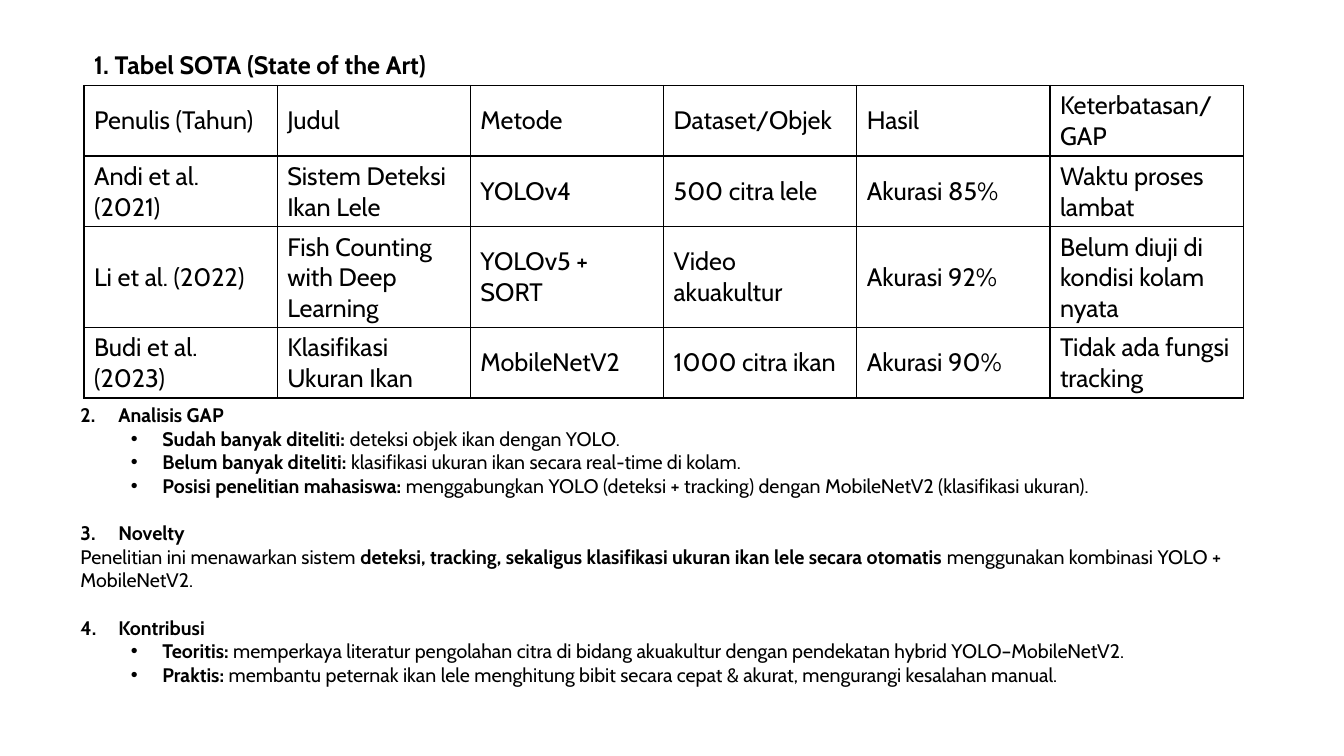
from lxml.etree import SubElement
from pptx import Presentation
from pptx.dml.color import RGBColor
from pptx.enum.text import MSO_ANCHOR
from pptx.oxml.ns import qn
from pptx.util import Pt

TITLE = "1. Tabel SOTA (State of the Art)"

STUDIES = [
    ("Penulis (Tahun)", "Judul", "Metode", "Dataset/Objek", "Hasil", "Keterbatasan/GAP"),
    ("Andi et al. (2021)", "Sistem Deteksi Ikan Lele", "YOLOv4",
     "500 citra lele", "Akurasi 85%", "Waktu proses lambat"),
    ("Li et al. (2022)", "Fish Counting with Deep Learning", "YOLOv5 + SORT",
     "Video akuakultur", "Akurasi 92%", "Belum diuji di kondisi kolam nyata"),
    ("Budi et al. (2023)", "Klasifikasi Ukuran Ikan", "MobileNetV2",
     "1000 citra ikan", "Akurasi 90%", "Tidak ada fungsi tracking"),
]

# Each section: number, heading, paragraphs of (kind, [(text, bold), ...])
SECTIONS = [
    (2, "Analisis GAP", [
        ("bullet", [("Sudah banyak diteliti: ", True),
                    ("deteksi objek ikan dengan YOLO.", False)]),
        ("bullet", [("Belum banyak diteliti: ", True),
                    ("klasifikasi ukuran ikan secara real-time di kolam.", False)]),
        ("bullet", [("Posisi penelitian mahasiswa: ", True),
                    ("menggabungkan YOLO (deteksi + tracking) dengan MobileNetV2 "
                     "(klasifikasi ukuran).", False)]),
    ]),
    (3, "Novelty", [
        ("plain", [("Penelitian ini menawarkan sistem ", False),
                   ("deteksi, tracking, sekaligus klasifikasi ukuran ikan lele "
                    "secara otomatis ", True),
                   ("menggunakan kombinasi YOLO + MobileNetV2.", False)]),
    ]),
    (4, "Kontribusi", [
        ("bullet", [("Teoritis: ", True),
                    ("memperkaya literatur pengolahan citra di bidang akuakultur dengan "
                     "pendekatan hybrid YOLO–MobileNetV2.", False)]),
        ("bullet", [("Praktis: ", True),
                    ("membantu peternak ikan lele menghitung bibit secara cepat & akurat, "
                     "mengurangi kesalahan manual.", False)]),
    ]),
]

FONT = "Cabin"
BLACK = RGBColor(0, 0, 0)
LARGE, SMALL = Pt(18), Pt(14)
TABLE_LEFT, TABLE_TOP, TABLE_WIDTH = Pt(60), Pt(61), Pt(828)
ROW_HEIGHTS = [Pt(50.4), Pt(50.4), Pt(72), Pt(50.4)]
SECTION_GAP = Pt(17)


def add_span(para, text, size, bold=False):
    span = para.add_run()
    span.text = text
    span.font.name = FONT
    span.font.size = size
    span.font.bold = bold
    span.font.color.rgb = BLACK


def add_text_box(page, left, top, width, height):
    box = page.shapes.add_textbox(left, top, width, height)
    box.text_frame.word_wrap = True
    return box.text_frame


def set_marker(para, indent, hanging, tag, **attributes):
    """Give the paragraph a hanging indent and a bullet or number."""
    properties = para._p.get_or_add_pPr()
    properties.set("marL", str(indent))
    properties.set("indent", str(-hanging))
    if tag == "a:buChar":
        SubElement(properties, qn("a:buFont"), typeface="Arial")
    SubElement(properties, qn(tag), **attributes)


def set_borders(cell):
    properties = cell._tc.get_or_add_tcPr()
    for side in ("a:lnL", "a:lnR", "a:lnT", "a:lnB"):
        line = SubElement(properties, qn(side), w=str(Pt(1)))
        fill = SubElement(line, qn("a:solidFill"))
        SubElement(fill, qn("a:srgbClr"), val=str(BLACK))


def add_study_table(page):
    frame = page.shapes.add_table(len(STUDIES), len(STUDIES[0]), TABLE_LEFT, TABLE_TOP,
                                  TABLE_WIDTH, sum(ROW_HEIGHTS))
    table = frame.table
    table.first_row = False
    table.horz_banding = False
    for row, height, texts in zip(table.rows, ROW_HEIGHTS, STUDIES):
        row.height = height
        for cell, text in zip(row.cells, texts):
            set_borders(cell)
            cell.fill.background()
            cell.vertical_anchor = MSO_ANCHOR.MIDDLE
            add_span(cell.text_frame.paragraphs[0], text, LARGE)


def add_sections(page):
    frame = add_text_box(page, Pt(50.4), Pt(284.4), Pt(859), Pt(211))
    for position, (number, heading, paragraphs) in enumerate(SECTIONS):
        para = frame.add_paragraph() if position else frame.paragraphs[0]
        set_marker(para, Pt(27), Pt(27), "a:buAutoNum",
                   type="arabicPeriod", startAt=str(number))
        if position:
            para.space_before = SECTION_GAP
        add_span(para, heading, SMALL, bold=True)
        for kind, spans in paragraphs:
            para = frame.add_paragraph()
            if kind == "bullet":
                para.level = 1
                set_marker(para, Pt(58.5), Pt(22.5), "a:buChar", char="•")
            for text, bold in spans:
                add_span(para, text, SMALL, bold)


def main():
    deck = Presentation()
    deck.slide_width, deck.slide_height = Pt(960), Pt(540)
    page = deck.slides.add_slide(deck.slide_layouts[6])
    title = add_text_box(page, TABLE_LEFT, Pt(32), Pt(480), Pt(29))
    add_span(title.paragraphs[0], TITLE, LARGE, bold=True)
    add_study_table(page)
    add_sections(page)
    deck.save("out.pptx")


if __name__ == "__main__":
    main()
